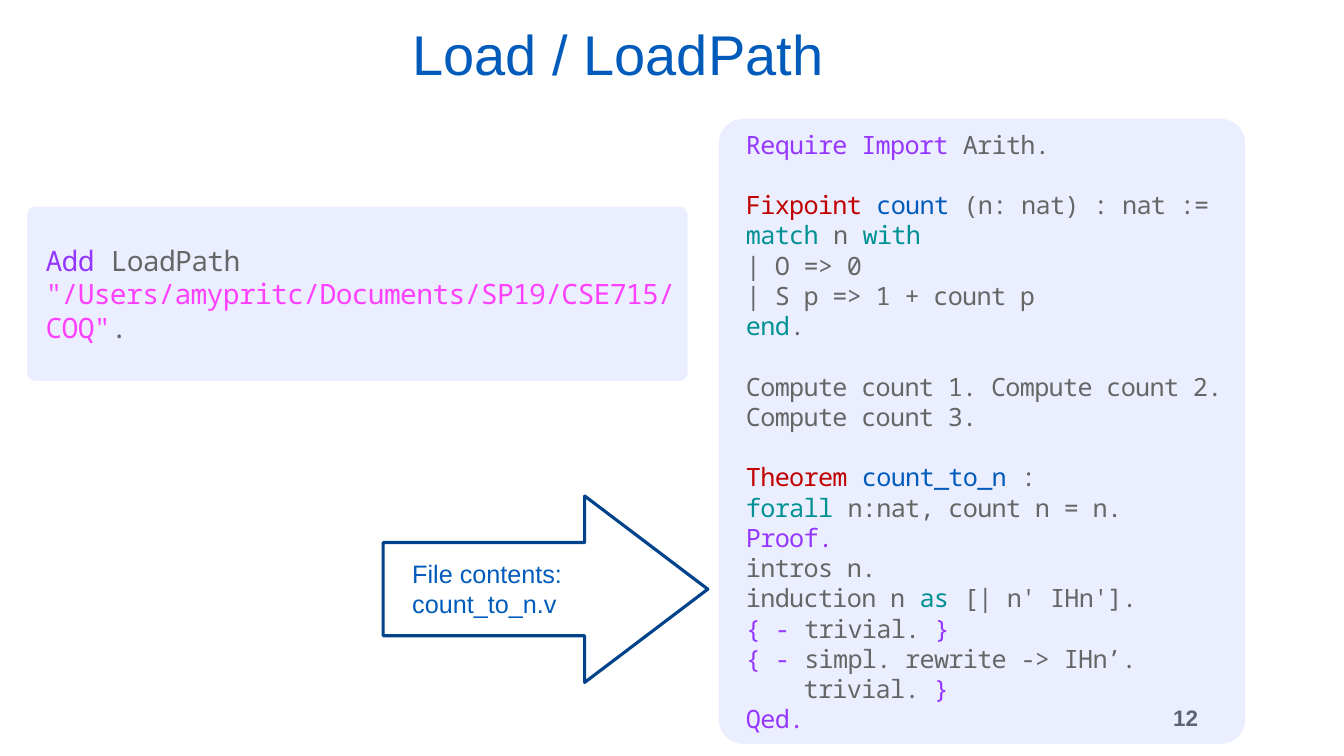
from lxml.etree import SubElement
from pptx import Presentation
from pptx.dml.color import RGBColor
from pptx.enum.shapes import MSO_SHAPE
from pptx.enum.text import MSO_ANCHOR, MSO_AUTO_SIZE, PP_ALIGN
from pptx.oxml.ns import qn
from pptx.util import Inches, Pt

BLUE, GREY, RED = "005BBB", "666666", "C00000"
TEAL, PURPLE, PINK = "009193", "9437FF", "FF40FF"
NAVY, TINT = "00438A", "0432FF"

COMMAND = [
    [("Add ", PURPLE), ("LoadPath ", GREY),
     ('"/Users/amypritc/Documents/SP19/CSE715/COQ"', PINK), (".", GREY)],
]

# Each block is set apart from the one above by an empty line's height.
BLOCKS = [
    [[("Require Import ", PURPLE), ("Arith.", GREY)]],
    [
        [("Fixpoint ", RED), ("count", BLUE), (" (n: nat) : nat :=", GREY)],
        [("match", TEAL), (" n ", GREY), ("with", TEAL)],
        [("| O => 0", GREY)],
        [("| S p => 1 + count p", GREY)],
        [("end", TEAL), (".", GREY)],
    ],
    [
        [("Compute count 1. Compute count 2.", GREY)],
        [("Compute count 3.", GREY)],
    ],
    [
        [("Theorem ", RED), ("count_to_n ", BLUE), (":", GREY)],
        [("forall ", TEAL), ("n:nat, count n = n.", GREY)],
        [("Proof.", PURPLE)],
        [("intros n.", GREY)],
        [("induction n ", GREY), ("as", TEAL), (" [| n' IHn'].", GREY)],
        [("{ - ", PURPLE), ("trivial. ", GREY), ("}", PURPLE)],
        [("{ - ", PURPLE), ("simpl. rewrite -> IHn’.", GREY)],
        [("    trivial. ", GREY), ("}", PURPLE)],
        [("Qed.", PURPLE)],
    ],
]


def color(code):
    return RGBColor.from_string(code)


class Deck:
    font = "Arial"
    mono = "Noto Sans Mono"
    lead = 1.2

    def __init__(self):
        self.prs = Presentation()
        self.prs.slide_width = Inches(13.33)
        self.prs.slide_height = Inches(7.5)
        self.slide = self.prs.slides.add_slide(self.prs.slide_layouts[5])

    def run(self, para, text, size, code, font=None, bold=False):
        run = para.add_run()
        run.text = text
        run.font.size = Pt(size)
        run.font.name = font or self.font
        run.font.bold = bold
        run.font.color.rgb = color(code)
        return run

    def title(self, text, box):
        shape = self.slide.shapes.title
        shape.left, shape.top, shape.width, shape.height = map(Inches, box)
        frame = shape.text_frame
        frame.auto_size = MSO_AUTO_SIZE.NONE
        frame.vertical_anchor = MSO_ANCHOR.TOP
        para = frame.paragraphs[0]
        para.alignment = PP_ALIGN.LEFT
        para.line_spacing = 0.9
        self.run(para, text, 40, BLUE)

    def label(self, lines, box, size, code, bold=False,
              align=PP_ALIGN.LEFT, anchor=MSO_ANCHOR.TOP):
        frame = self.slide.shapes.add_textbox(*map(Inches, box)).text_frame
        frame.word_wrap = False
        frame.vertical_anchor = anchor
        for i, line in enumerate(lines):
            para = frame.add_paragraph() if i else frame.paragraphs[0]
            para.alignment = align
            self.run(para, line, size, code, bold=bold)

    def shape(self, kind, box, *adjust):
        shape = self.slide.shapes.add_shape(kind, *map(Inches, box))
        shape.shadow.inherit = False
        for i, value in enumerate(adjust):
            shape.adjustments[i] = value
        return shape

    def arrow(self, box):
        shape = self.shape(MSO_SHAPE.RIGHT_ARROW, box, 0.5, 0.66)
        shape.fill.background()
        shape.line.color.rgb = color(NAVY)
        shape.line.width = Pt(2.25)

    def code(self, blocks, box, size, indent, adjust=0.046):
        """Draw a tinted panel holding blocks of coloured code."""
        shape = self.shape(MSO_SHAPE.ROUNDED_RECTANGLE, box, adjust)
        shape.fill.solid()
        shape.fill.fore_color.rgb = color(TINT)
        tint = shape.fill._xPr.find(".//" + qn("a:srgbClr"))
        SubElement(tint, qn("a:alpha"), val="8000")
        shape.line.fill.background()
        frame = shape.text_frame
        frame.word_wrap = True
        frame.vertical_anchor = MSO_ANCHOR.MIDDLE
        for b, block in enumerate(blocks):
            for i, line in enumerate(block):
                first = b == i == 0
                para = frame.paragraphs[0] if first else frame.add_paragraph()
                para.alignment = PP_ALIGN.LEFT
                para.line_spacing = Pt(size * self.lead)
                para.space_before = Pt(size * self.lead if b and not i else 0)
                props = para._p.get_or_add_pPr()
                props.set("marL", str(Inches(indent)))
                props.set("indent", "0")
                for text, code in line:
                    run = self.run(para, text, size, code, self.mono)
                    run.font._element.set("spc", "-50")


def main():
    deck = Deck()
    deck.title("Load / LoadPath", (3.99, 0.22, 9.12, 0.82))
    deck.label(["12"], (11.19, 6.83, 0.79, 0.58), 16, GREY, bold=True,
               align=PP_ALIGN.RIGHT, anchor=MSO_ANCHOR.MIDDLE)
    deck.code([COMMAND], (0.27, 2.05, 6.55, 1.73), 20, 0.06)
    deck.code(BLOCKS, (7.13, 1.18, 5.22, 6.2), 18, 0.1)
    deck.label(["File contents:", "count_to_n.v"], (3.99, 5.49, 1.7, 0.71),
               18, BLUE)
    deck.arrow((3.8, 4.92, 3.22, 1.85))
    deck.prs.save("out.pptx")


if __name__ == "__main__":
    main()
